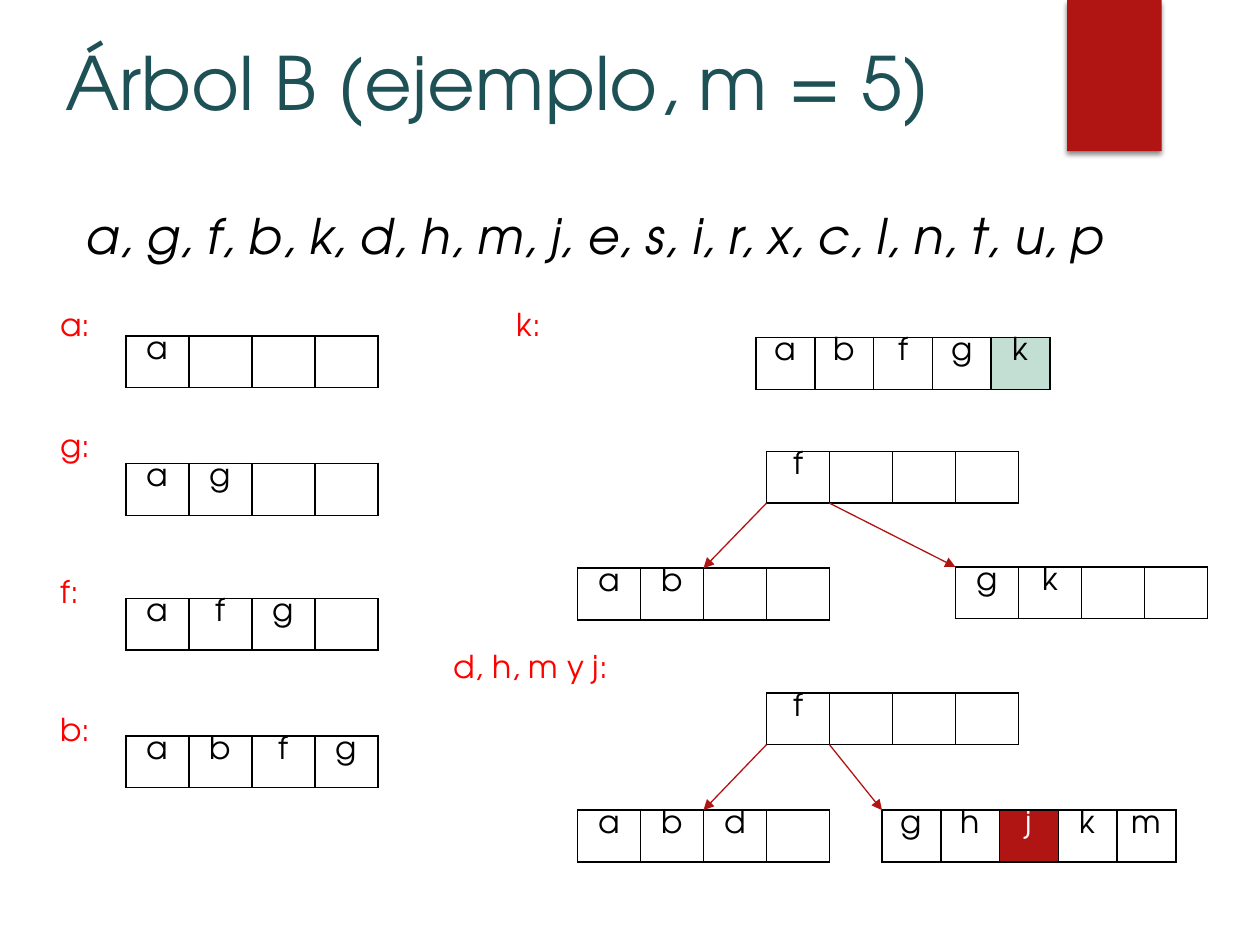
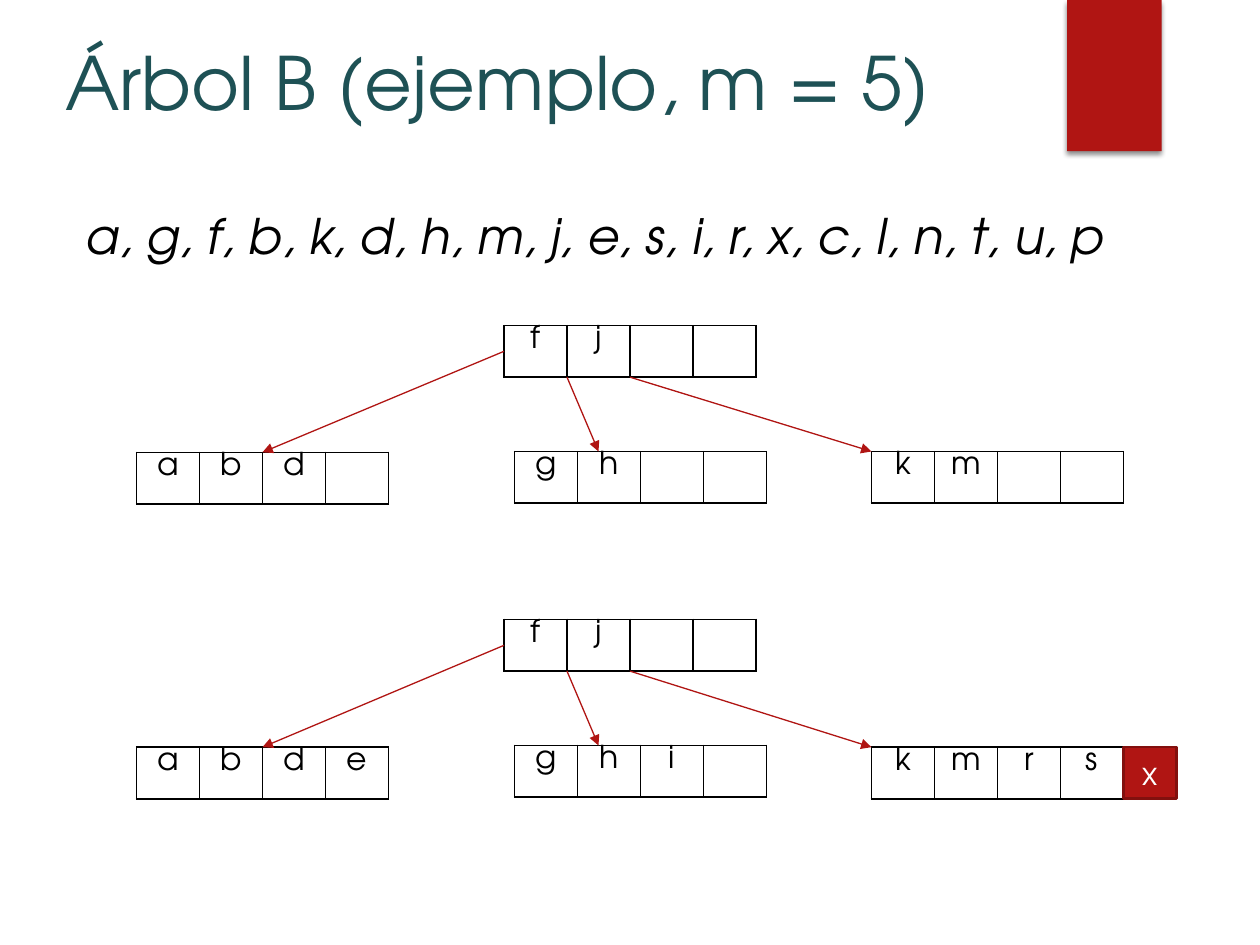
from lxml import etree
from pptx import Presentation
from pptx.dml.color import RGBColor
from pptx.enum.shapes import MSO_CONNECTOR, MSO_SHAPE
from pptx.enum.text import MSO_ANCHOR, PP_ALIGN
from pptx.oxml import parse_xml
from pptx.oxml.ns import nsdecls, qn
from pptx.util import Inches, Pt

RECT, LINE = MSO_SHAPE.RECTANGLE, MSO_CONNECTOR.STRAIGHT
TOP, MID = MSO_ANCHOR.TOP, MSO_ANCHOR.MIDDLE
LEFT, MIDST = PP_ALIGN.LEFT, PP_ALIGN.CENTER

TEAL = RGBColor(0x1E, 0x51, 0x55)
MINT = RGBColor(0xC3, 0xDE, 0xD3)
CRIMSON = RGBColor(0xB0, 0x15, 0x13)
DARK = RGBColor(0x82, 0x10, 0x0E)
RED = RGBColor(0xFF, 0, 0)
BLACK = RGBColor(0, 0, 0)
WHITE = RGBColor(0xFF, 0xFF, 0xFF)

FACE = "TeX Gyre Adventor"
HEAD = {"size": Pt(42), "color": TEAL}
LIST = {"size": Pt(28), "color": BLACK, "italic": True}
TAG = {"size": Pt(18), "color": RED}
KEY = {"size": Pt(18), "color": BLACK}
HOT = {"size": Pt(18), "color": WHITE}

# The grid has 120 columns and 90 rows
UNIT = Inches(10) / 120
HIGH = 4.92   # height of a node
CELL = 6      # width of a key slot
NARROW = 5.6  # width of a slot in an overfull node


def write(frame, text, look, align=LEFT):
    para = frame.paragraphs[0]
    para.alignment = align
    run = para.add_run()
    run.text = text
    run.font.name = FACE
    for name, value in look.items():
        if name == "color":
            run.font.color.rgb = value
        else:
            setattr(run.font, name, value)


def node(slide, x, y, keys, mark=None):
    count = max(4, len(keys))
    wide = NARROW if count > 4 else CELL
    box = [round(v * UNIT) for v in (x, y, wide * count, HIGH)]
    table = slide.shapes.add_table(1, count, *box).table
    table.first_row = table.horz_banding = False
    for i in range(count):
        table.columns[i].width = round(wide * UNIT)
        cell = table.cell(0, i)
        cell.margin_top = cell.margin_bottom = 0
        props = cell._tc.get_or_add_tcPr()
        for side in "LRTB":
            props.append(parse_xml(
                f'<a:ln{side} {nsdecls("a")} w="12700"><a:solidFill>'
                f'<a:srgbClr val="{BLACK}"/></a:solidFill></a:ln{side}>'))
        cell.fill.solid()
        shade = mark[1] if mark and keys[i:i + 1] == mark[0] else WHITE
        cell.fill.fore_color.rgb = shade
        if i < len(keys):
            look = HOT if shade == CRIMSON else KEY
            write(cell.text_frame, keys[i], look, MIDST)


deck = Presentation()
deck.slide_width, deck.slide_height = Inches(10), Inches(7.5)
plain = deck.slide_layouts[5]
pages = [deck.slides.add_slide(plain) for _ in range(2)]
first, second = pages

# Red band with a soft shadow, shared through the layout
box = [round(v * UNIT) for v in (101.64, 0, 9, 14.4)]
band = first.shapes.add_shape(RECT, *box)
band.fill.solid()
band.fill.fore_color.rgb = CRIMSON
band.line.fill.background()
band._element.spPr.append(parse_xml(
    f'<a:effectLst {nsdecls("a")}><a:outerShdw blurRad="38100" dist="25400" '
    'dir="5400000" rotWithShape="0"><a:srgbClr val="000000">'
    '<a:alpha val="45000"/></a:srgbClr></a:outerShdw></a:effectLst>'))
plain.shapes._spTree.insert(2, band._element)

# Title and insertion order
for page in pages:
    title = page.shapes.title
    title.left, title.top, title.width, title.height = [
        round(v * UNIT) for v in (5, 2.88, 108, 15)]
    title.text_frame.vertical_anchor = TOP
    write(title.text_frame, "Árbol B (ejemplo, m = 5)", HEAD)
    box = [round(v * UNIT) for v in (7, 19, 101, 6.84)]
    order = page.shapes.add_textbox(*box).text_frame
    order.word_wrap = True
    write(order, "a, g, f, b, k, d, h, m, j, e, s, i, r, x, c, l, n, t, u, p", LIST)

# Single nodes
for y, keys in ((32, "a"), (44.16, "ag"), (57, "afg"), (70.08, "abfg")):
    node(first, 12, y, keys)
node(first, 72, 32.16, "abfgk", ("k", MINT))

# Step labels
for x, y, wide, text in (
        (4.56, 28.44, 7.44, "a:"), (4.56, 40, 7.44, "g:"),
        (4.56, 53.88, 7.44, "f:"), (4.56, 67, 7.44, "b:"),
        (48, 28.44, 7.44, "k:"), (42, 61, 19, "d, h, m y j:")):
    box = [round(v * UNIT) for v in (x, y, wide, 4.8)]
    label = first.shapes.add_textbox(*box).text_frame
    label.word_wrap = True
    write(label, text, TAG)

# Trees: root, then its children as x, y, keys, mark
TREES = (
    (first, (73, 43, "f"), ((55, 54.12, "ab"), (91, 54, "gk"))),
    (first, (73, 66, "f"),
     ((55, 77.16, "abd"), (84, 77.16, "ghjkm", ("j", CRIMSON)))),
    (second, (48, 31, "fj"),
     ((13, 43.08, "abd"), (49, 43, "gh"), (83, 43, "km"))),
    (second, (48, 59, "fj"),
     ((13, 71.16, "abde"), (49, 71, "ghi"), (83, 71.16, "kmrs"))),
)
# Arrow ends by number of children: root slot, share of root height, child slot
LINKS = {2: ((0, 1, 2), (1, 1, 0)),
         3: ((0, 0.5, 2), (1, 1, 4 / 3), (2, 1, 0))}

for page, root, kids in TREES:
    node(page, *root)
    for kid, (slot, drop, goal) in zip(kids, LINKS[len(kids)]):
        node(page, *kid)
        ends = (root[0] + slot * CELL, root[1] + drop * HIGH,
                kid[0] + goal * CELL, kid[1])
        arrow = page.shapes.add_connector(LINE, *[round(v * UNIT) for v in ends])
        arrow.line.color.rgb = CRIMSON
        arrow.line.width = Pt(0.75)
        etree.SubElement(arrow.line._get_or_add_ln(), qn("a:tailEnd"), type="triangle")
        etree.SubElement(arrow._element.spPr, qn("a:effectLst"))

# Overflowing key next to the last leaf
box = [round(v * UNIT) for v in (107, 71.16, 5.04, HIGH)]
extra = second.shapes.add_shape(RECT, *box)
extra.shadow.inherit = False
extra.fill.solid()
extra.fill.fore_color.rgb = CRIMSON
extra.line.color.rgb = DARK
extra.line.width = Pt(1.5)
extra.text_frame.vertical_anchor = MID
write(extra.text_frame, "x", HOT, MIDST)

deck.save("out.pptx")
